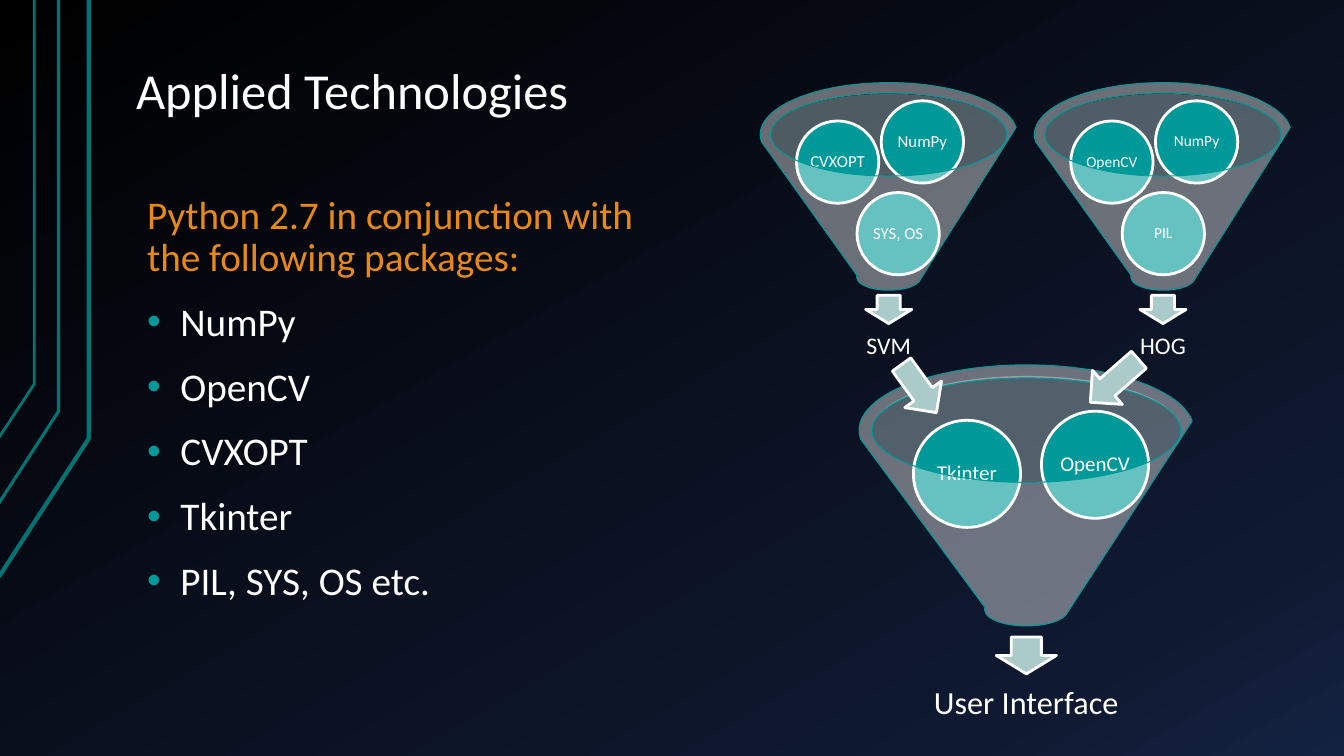
"""Build the Applied Technologies slide with three package funnels."""
import copy

import pptx
import pptx.dml.color
import pptx.enum.shapes
import pptx.enum.text
import pptx.oxml
import pptx.oxml.ns
import pptx.util
from pptx.util import Inches

SHAPE = pptx.enum.shapes.MSO_SHAPE
ALIGN = pptx.enum.text.PP_ALIGN
ANCHOR = pptx.enum.text.MSO_ANCHOR
color = pptx.dml.color.RGBColor.from_string
WHITE, TEAL, ARROW = "FFFFFF", "009999", "ABCACA"

deck = pptx.Presentation()
deck.slide_width, deck.slide_height = Inches(13.33), Inches(7.5)
slide = deck.slides.add_slide(deck.slide_layouts[6])


def write(holder, lines, size, hue=WHITE, align=ALIGN.LEFT, anchor=ANCHOR.TOP,
          inset=(0.13, 0.07), wrap=True, before=0):
    frame = holder.text_frame
    frame.word_wrap, frame.vertical_anchor = wrap, anchor
    frame.margin_left = frame.margin_right = Inches(inset[0])
    frame.margin_top = frame.margin_bottom = Inches(inset[1])
    for number, line in enumerate(lines):
        paragraph = frame.add_paragraph() if number else frame.paragraphs[0]
        paragraph.alignment, paragraph.line_spacing = align, 0.9
        paragraph.space_before = pptx.util.Pt(before)
        run = paragraph.add_run()
        run.text = line
        run.font.name, run.font.size = "Calibri", pptx.util.Pt(size)
        run.font.color.rgb = color(hue)
    return frame.paragraphs


def draw(kind, left, top, width, height, fill, line=None, weight=2, opacity=100, turn=0):
    shape = slide.shapes.add_shape(kind, *map(Inches, (left, top, width, height)))
    shape.shadow.inherit = False
    shape.rotation = turn
    shape.fill.solid()
    shape.fill.fore_color.rgb = color(fill)
    if opacity < 100:
        tint = shape.element.spPr.find(".//" + pptx.oxml.ns.qn("a:srgbClr"))
        pptx.oxml.ns.qn("a:alpha")
        alpha = tint.makeelement(pptx.oxml.ns.qn("a:alpha"), {"val": str(opacity * 1000)})
        tint.append(alpha)
    if line:
        shape.line.color.rgb = color(line)
        shape.line.width = pptx.util.Pt(weight)
    else:
        shape.line.fill.background()
    return shape


backdrop = slide.background.fill
backdrop.gradient()
backdrop.gradient_angle = 300
stop_list = slide.element.find(".//" + pptx.oxml.ns.qn("a:gsLst"))
stop_list.insert(1, copy.deepcopy(stop_list[0]))
for stop, position, hue in zip(backdrop.gradient_stops, (0, 0.85, 1), ("000000", "0F1931", "142242")):
    stop.position = position
    stop.color.rgb = color(hue)

for x, bend, end, weight in ((0.88, 4.35, 5.72, 3), (0.58, 4.08, 4.99, 2.25), (0.34, 3.81, 4.34, 2)):
    builder = slide.shapes.build_freeform(Inches(-0.01), Inches(end), scale=1.0)
    builder.add_line_segments([(Inches(x), Inches(bend)), (Inches(x), 0)], close=False)
    stripe = builder.convert_to_shape()
    stripe.shadow.inherit = False
    stripe.fill.background()
    stripe.line.color.rgb = color("007373")
    stripe.line.width = pptx.util.Pt(weight)

title = slide.shapes.add_textbox(*map(Inches, (1.22, 0.25, 11.33, 1.01)))
write(title, ["Applied Technologies"], 36, anchor=ANCHOR.BOTTOM)

packages = slide.shapes.add_textbox(*map(Inches, (1.33, 1.87, 5.55, 4.88)))
heading, *bullets = write(packages, [
    "Python 2.7 in conjunction with the following packages:",
    "NumPy", "OpenCV", "CVXOPT", "Tkinter", "PIL, SYS, OS etc."], 28, before=16)
heading.runs[0].font.color.rgb = color("E98915")
for bullet in bullets:
    properties = bullet.runs[0].font and bullet._p.get_or_add_pPr()
    properties.set("marL", str(Inches(0.33)))
    properties.set("indent", str(Inches(-0.33)))
    namespace = pptx.oxml.ns.nsdecls("a")
    properties.append(pptx.oxml.parse_xml(
        f'<a:buClr {namespace}><a:srgbClr val="{TEAL}"/></a:buClr>'))
    properties.append(pptx.oxml.parse_xml(f'<a:buFont {namespace} typeface="Arial"/>'))
    properties.append(pptx.oxml.parse_xml(f'<a:buChar {namespace} char="\u2022"/>'))

funnels = [
    ("SVM", 17, 7.54, 0.82, 2.55, 2.06, 2.93, 12,
     [("SYS, OS", 8.5, 1.91), ("CVXOPT", 7.9, 1.2), ("NumPy", 8.74, 1)]),
    ("HOG", 17, 10.26, 0.82, 2.55, 2.06, 2.93, 11,
     [("PIL", 11.13, 1.91), ("OpenCV", 10.62, 1.2), ("NumPy", 11.46, 1)]),
    ("User Interface", 23, 8.52, 3.62, 3.32, 2.59, 6.32, 15,
     [("Tkinter", 9.06, 4.17), ("OpenCV", 10.33, 4.08)]),
]
for result, result_size, left, top, width, height, spout, ball_size, balls in funnels:
    center = left + width / 2
    mouth, outlet, label = 0.92 * width, 0.18 * width, 0.86 * width
    diameter, drop = 0.32 * width, 0.11 * width
    draw(SHAPE.OVAL, center - mouth / 2, top + 0.11, mouth, diameter, "BDD4D4", opacity=40)
    draw(SHAPE.DOWN_ARROW, center - outlet / 2, spout, outlet, drop, ARROW, WHITE)
    caption = slide.shapes.add_textbox(*map(Inches, (
        center - label / 2, spout + 0.09 * width, label, 0.22 * width)))
    write(caption, [result], result_size, align=ALIGN.CENTER, anchor=ANCHOR.MIDDLE,
          inset=(0.13, 0.13))
    for package_name, x, y in balls:
        ball = draw(SHAPE.OVAL, x, y, diameter, diameter, TEAL, WHITE)
        write(ball, [package_name], ball_size, align=ALIGN.CENTER, anchor=ANCHOR.MIDDLE,
              inset=(0.02, 0.02), wrap=False)
    draw(SHAPE.FUNNEL, left, top, width, height, WHITE, TEAL, 0.75, opacity=40)

draw(SHAPE.DOWN_ARROW, 8.89, 3.56, 0.45, 0.59, ARROW, WHITE, turn=324.1)
draw(SHAPE.DOWN_ARROW, 10.83, 3.46, 0.45, 0.64, ARROW, WHITE, turn=48.8)

deck.save("out.pptx")
